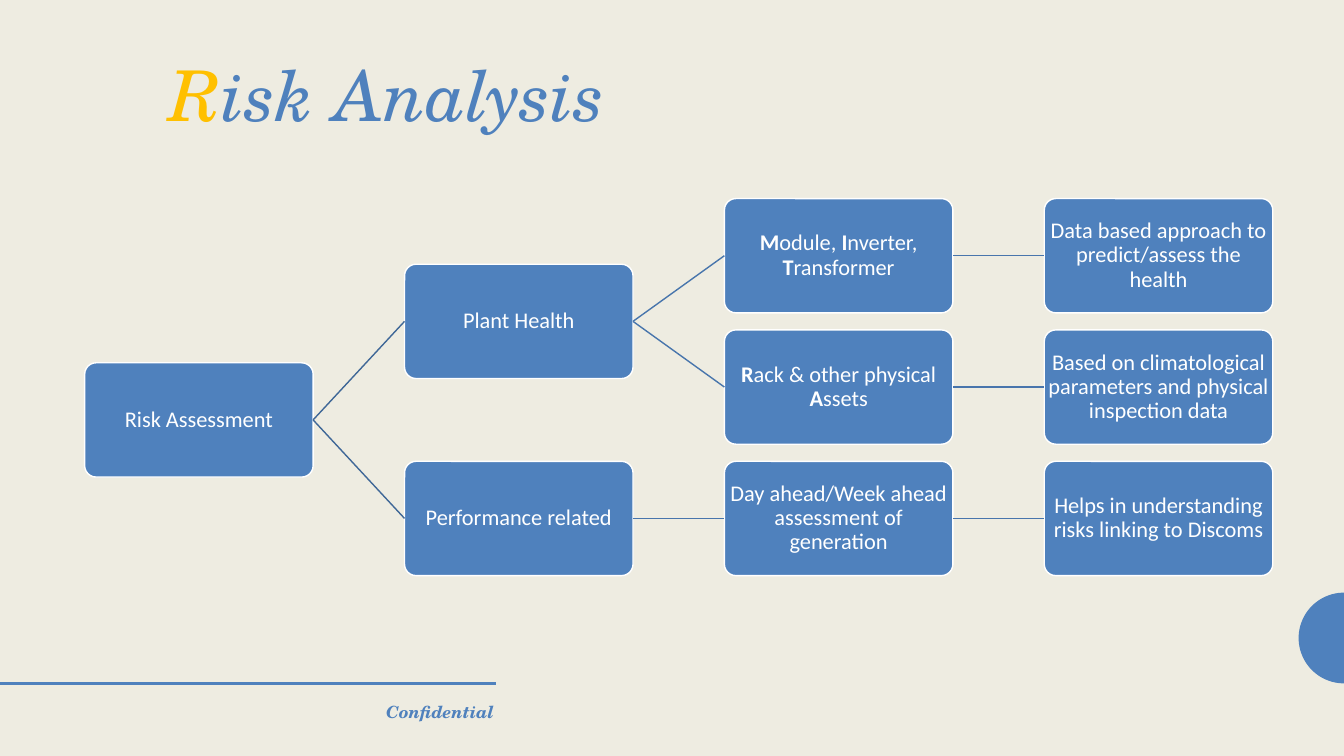
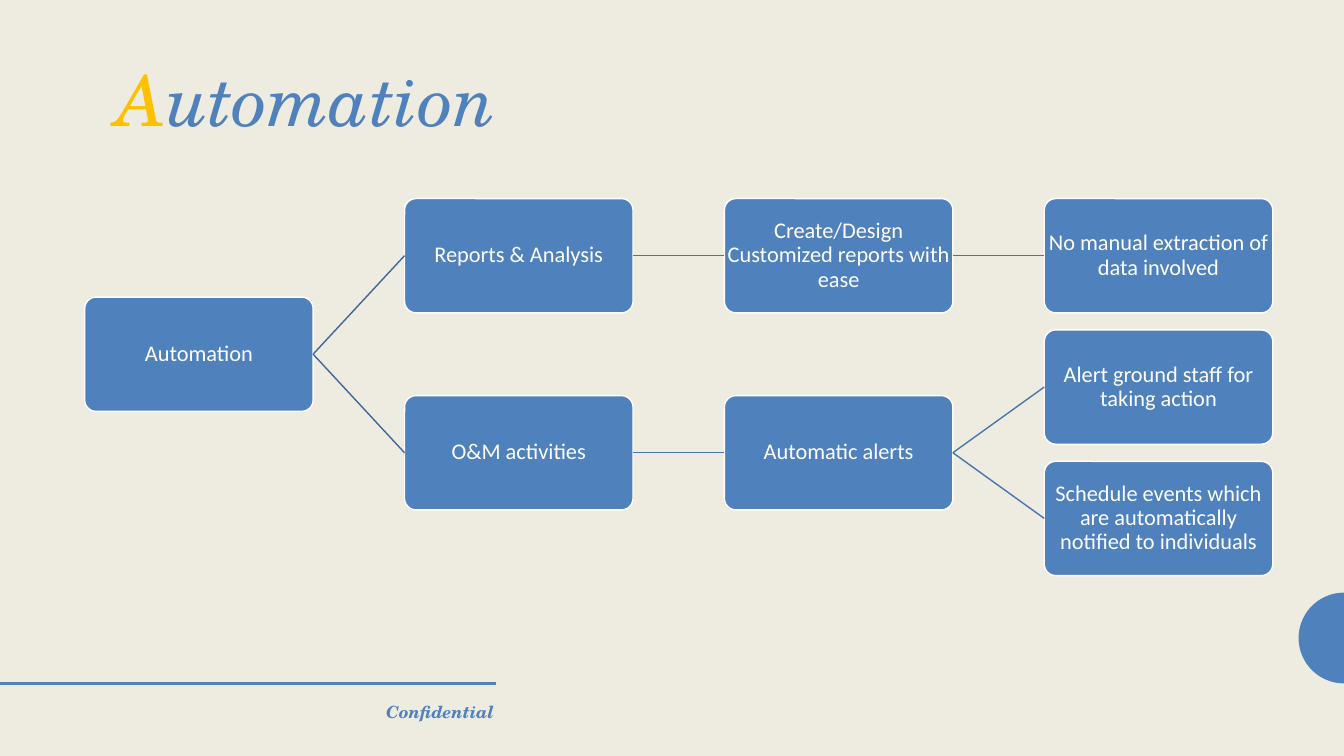
"""Build two tree-diagram slides that share one title, footer and band style."""
from dataclasses import dataclass
from itertools import count
from math import cos, pi, sin
from typing import Iterator

from lxml import etree
from pptx import Presentation
from pptx import util as u
from pptx.dml.color import RGBColor
from pptx.enum import shapes, text
from pptx.oxml import ns

BLUE = RGBColor(0x4F, 0x81, 0xBD)
NAVY = RGBColor(0x3F, 0x67, 0x97)
STEEL = RGBColor(0x48, 0x75, 0xAC)
GOLD = RGBColor(0xFF, 0xC0, 0x00)
CREAM = RGBColor(0xEE, 0xEC, 0xE1)
WHITE = RGBColor(0xFF, 0xFF, 0xFF)
SERIF, SANS = "TeX Gyre Schola", "Calibri"

WIDE, HIGH = u.Inches(13.333), u.Inches(7.5)
MARGIN = u.Inches(0.83)
BOX_W = int(WIDE * 0.17)
BOX_H = BOX_W // 2
COL, ROW = int(BOX_W * 1.4), int(BOX_H * 1.15)
LEFT, TOP = u.Inches(0.84), u.Inches(1.97)
BAND_Y = u.Inches(6.78)
RADIUS = u.Inches(0.45)


@dataclass(frozen=True)
class Node:
    """One box of a tree; asterisks enclose bold letters."""
    label: str
    kids: tuple["Node", ...] = ()


@dataclass(frozen=True)
class Page:
    """One slide: its title, the title's place in inches, and its tree."""
    title: str
    top: float
    width: float
    height: float
    tree: Node


PAGES = (
    Page("Risk Analysis", 0.56, 5.27, 0.99, Node("Risk Assessment", (
        Node("Plant Health", (
            Node("*M*odule, *I*nverter, *T*ransformer", (
                Node("Data based approach to predict/assess the health"),)),
            Node("*R*ack & other physical *A*ssets", (
                Node("Based on climatological parameters and physical inspection data"),)),
        )),
        Node("Performance related", (
            Node("Day ahead/Week ahead assessment of generation", (
                Node("Helps in understanding risks linking to Discoms"),)),
        )),
    ))),
    Page("Automation", 0.61, 4.19, 5.42, Node("Automation", (
        Node("Reports & Analysis", (
            Node("Create/Design Customized reports with ease", (
                Node("No manual extraction of data involved"),)),
        )),
        Node("O&M activities", (
            Node("Automatic alerts", (
                Node("Alert ground staff for taking action"),
                Node("Schedule events which are automatically notified to individuals"),
            )),
        )),
    ))),
)


def add_line(slide, start: tuple[int, int], end: tuple[int, int], color: RGBColor, width: float):
    """Draw a straight line without a shadow."""
    line = slide.shapes.add_connector(shapes.MSO_CONNECTOR.STRAIGHT, *start, *end)
    line.line.color.rgb = color
    line.line.width = u.Pt(width)
    etree.SubElement(line._element.spPr, ns.qn("a:effectLst"))
    return line


def add_text(slide, top: float, width: float, height: float, size: float):
    """Add a right-aligned serif text box and return its paragraph."""
    box = slide.shapes.add_textbox(MARGIN, u.Inches(top), u.Inches(width), u.Inches(height))
    box.text_frame.word_wrap = True
    para = box.text_frame.paragraphs[0]
    para.alignment = text.PP_ALIGN.RIGHT
    para.font.name, para.font.size, para.font.italic = SERIF, u.Pt(size), True
    return para


def add_frame(slide) -> None:
    """Draw the background, half disc, band and footer."""
    slide.background.fill.solid()
    slide.background.fill.fore_color.rgb = CREAM
    mid = BAND_Y - RADIUS
    arc = [(int(WIDE - RADIUS * sin(pi * i / 48)), int(mid - RADIUS * cos(pi * i / 48)))
           for i in range(49)]
    path = slide.shapes.build_freeform(*arc[0])
    path.add_line_segments(arc[1:], close=True)
    disc = path.convert_to_shape()
    disc.shadow.inherit = False
    disc.fill.solid()
    disc.fill.fore_color.rgb = BLUE
    disc.line.fill.background()
    add_line(slide, (0, BAND_Y), (int(WIDE * 0.369), BAND_Y), BLUE, 2.25)
    foot = add_text(slide, 6.91, 4.17, 0.4, 12)
    foot.font.bold, foot.font.color.rgb = True, BLUE
    foot.add_run().text = "Confidential"


def add_title(slide, page: Page) -> None:
    """Write the title with a gold first letter."""
    para = add_text(slide, page.top, page.width, page.height, 50)
    para.line_spacing = 0.9
    for part, color in ((page.title[0], GOLD), (page.title[1:], BLUE)):
        run = para.add_run()
        run.text, run.font.color.rgb = part, color


def add_box(slide, label: str, col: int, row: float):
    """Draw one rounded box at a grid place."""
    box = slide.shapes.add_shape(shapes.MSO_SHAPE.ROUNDED_RECTANGLE,
                                 LEFT + col * COL, TOP + int(row * ROW), BOX_W, BOX_H)
    box.adjustments[0] = 0.1
    box.shadow.inherit = False
    box.fill.solid()
    box.fill.fore_color.rgb = BLUE
    box.line.color.rgb, box.line.width = WHITE, u.Pt(1)
    frame = box.text_frame
    frame.word_wrap = True
    frame.vertical_anchor = text.MSO_ANCHOR.MIDDLE
    frame.margin_left = frame.margin_right = u.Inches(-0.02)
    frame.margin_top = frame.margin_bottom = 0
    para = frame.paragraphs[0]
    para.alignment, para.line_spacing = text.PP_ALIGN.CENTER, 0.9
    para.font.name, para.font.size, para.font.color.rgb = SANS, u.Pt(16), WHITE
    for i, part in enumerate(label.split("*")):
        if part:
            run = para.add_run()
            run.text = part
            run.font.bold = i % 2 == 1
    return box


def add_tree(slide, node: Node, rows: Iterator[int], col: int = 0):
    """Draw a node midway beside its children; return its box and row."""
    kids = [add_tree(slide, kid, rows, col + 1) for kid in node.kids]
    row = (kids[0][1] + kids[-1][1]) / 2 if kids else next(rows)
    box = add_box(slide, node.label, col, row)
    for kid, _ in kids:
        line = add_line(slide, (0, 0), (0, 0), STEEL if col else NAVY, 1)
        line.begin_connect(box, 3)
        line.end_connect(kid, 1)
    return box, row


def main() -> None:
    """Build and save the slides."""
    deck = Presentation()
    deck.slide_width, deck.slide_height = WIDE, HIGH
    for page in PAGES:
        slide = deck.slides.add_slide(deck.slide_layouts[6])
        add_frame(slide)
        add_title(slide, page)
        add_tree(slide, page.tree, count())
    deck.save("out.pptx")


if __name__ == "__main__":
    main()
